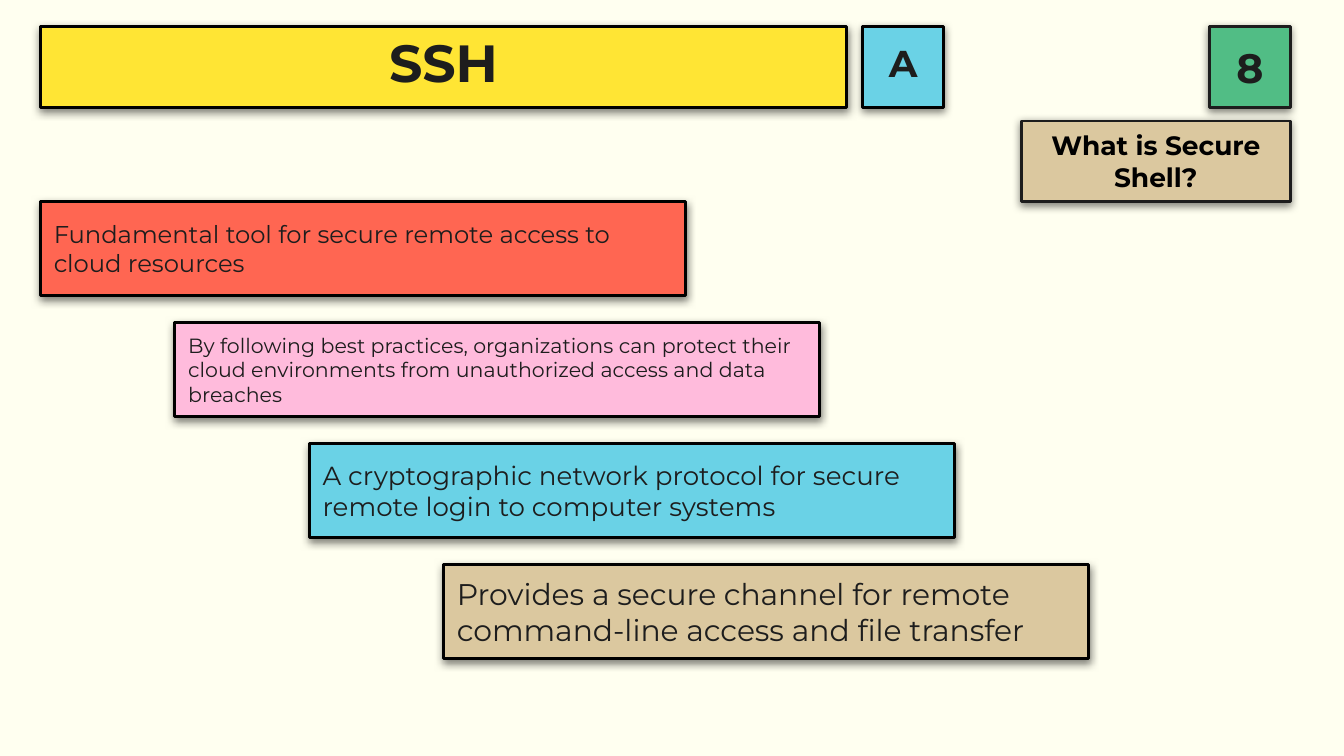
from lxml import etree
from pptx import Presentation
from pptx.dml.color import RGBColor
from pptx.enum.shapes import MSO_SHAPE
from pptx.enum.text import MSO_ANCHOR, MSO_AUTO_SIZE, PP_ALIGN
from pptx.oxml import parse_xml
from pptx.oxml.ns import nsdecls, qn
from pptx.util import Pt

RECT = MSO_SHAPE.RECTANGLE
MIDDLE = MSO_ANCHOR.MIDDLE
NO_FIT = MSO_AUTO_SIZE.NONE
LEFT, CENTER = PP_ALIGN.LEFT, PP_ALIGN.CENTER

PX = 4572
FONT = "Montserrat"
IVORY = RGBColor(0xFF, 0xFF, 0xF0)
INK = RGBColor(0x1D, 0x1D, 0x1D)
BLACK = RGBColor(0x00, 0x00, 0x00)
YELLOW = RGBColor(0xFF, 0xE5, 0x34)
BLUE = RGBColor(0x6A, 0xD2, 0xE6)
GREEN = RGBColor(0x51, 0xBD, 0x85)
TAN = RGBColor(0xDB, 0xC8, 0x9F)
RED = RGBColor(0xFF, 0x66, 0x52)
PINK = RGBColor(0xFF, 0xBB, 0xDC)
SHADOW = (
    f'<a:outerShdw {nsdecls("a")} blurRad="57150" dist="19050" dir="5400000" '
    'algn="bl" rotWithShape="0"><a:srgbClr val="000000">'
    '<a:alpha val="50000"/></a:srgbClr></a:outerShdw>'
)


def style(card, box, fill, edge):
    card.left, card.top, card.width, card.height = [n * PX for n in box]
    card.fill.solid()
    card.fill.fore_color.rgb = fill
    card.line.color.rgb = edge
    card.line.width = Pt(1.5)
    card.shadow.inherit = False
    card._element.spPr.find(qn("a:effectLst")).append(parse_xml(SHADOW))


def write(card, text, size, color=INK, bold=True, align=CENTER, space=1.0):
    frame = card.text_frame
    frame.word_wrap = True
    frame.auto_size = NO_FIT
    frame.vertical_anchor = MIDDLE
    frame.margin_left = frame.margin_right = 20 * PX
    frame.margin_top = frame.margin_bottom = 20 * PX
    para = frame.paragraphs[0]
    props = para._p.get_or_add_pPr()
    props.set("marL", "0")
    props.set("indent", "0")
    etree.SubElement(props, qn("a:buNone"))
    para.alignment = align
    para.line_spacing = space
    para.space_before = Pt(0)
    run = para.add_run()
    run.text = text
    run.font.name = FONT
    run.font.size = Pt(size)
    run.font.bold = bold
    run.font.color.rgb = color


prs = Presentation()
prs.slide_width = 2000 * PX
prs.slide_height = 1125 * PX
slide = prs.slides.add_slide(prs.slide_layouts.get_by_name("Comparison"))
slide.background.fill.solid()
slide.background.fill.fore_color.rgb = IVORY

title = slide.shapes.title
style(title, (60, 40, 1200, 120), YELLOW, BLACK)
write(title, "SSH", 28, space=0.8)

points = [
    ("Fundamental tool for secure remote access to cloud resources", 13, RED),
    ("By following best practices, organizations can protect their cloud "
     "environments from unauthorized access and data breaches", 11, PINK),
    ("A cryptographic network protocol for secure remote login to computer "
     "systems", 14, BLUE),
    ("Provides a secure channel for remote command-line access and file "
     "transfer", 16, TAN),
]
for step, (text, size, fill) in enumerate(points):
    body = slide.placeholders[step + 1]
    style(body, (60 + 200 * step, 300 + 180 * step, 960, 140), fill, BLACK)
    write(body, text, size, bold=False, align=LEFT)

tags = [
    ("A", 20, (1284, 40, 120, 120), BLUE, BLACK, INK, 0.8),
    ("8", 22, (1800, 40, 120, 120), GREEN, INK, INK, 1.0),
    ("What is Secure Shell?", 14.2, (1520, 180, 400, 120), TAN, INK, BLACK, 1.0),
]
for text, size, box, fill, edge, color, space in tags:
    tag = slide.shapes.add_shape(RECT, 0, 0, PX, PX)
    style(tag, box, fill, edge)
    write(tag, text, size, color, space=space)

for item in list(slide.placeholders):
    if not item.text_frame.text:
        item._element.getparent().remove(item._element)

prs.save("out.pptx")
